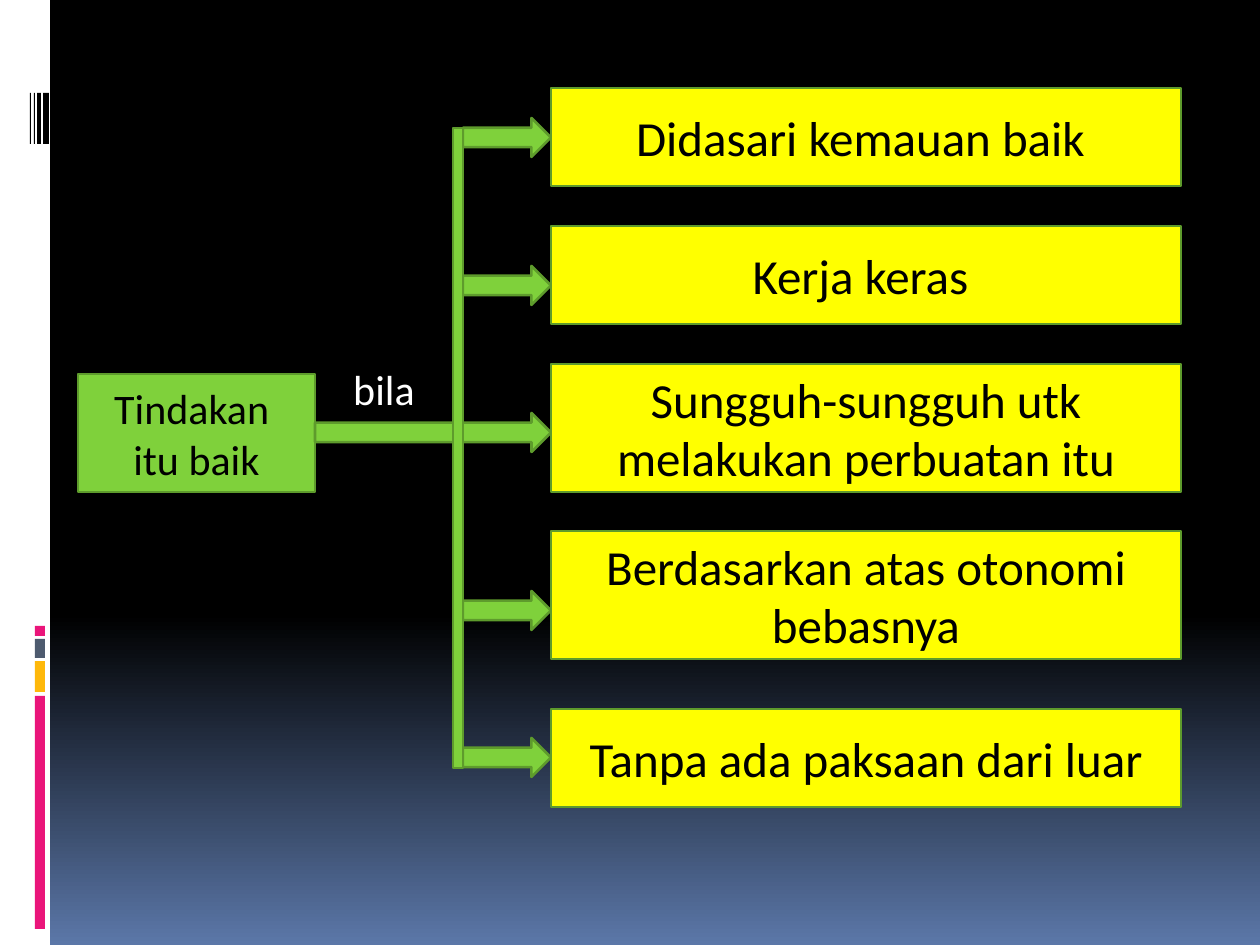
import pptx
import pptx.util
import pptx.dml.color
import pptx.enum.shapes
import pptx.enum.text

EMU_PER_PX = 914400 // 126
THEME = {
    "font": "Calibri", "label_size": 24, "reason_size": 28, "line_width": 1.5,
    "black": "000000", "white": "FFFFFF", "night_blue": "5B77A8",
    "green": "7FD13B", "dark_green": "5E9B2C", "yellow": "FFFF00",
    "pink": "EA157A", "amber": "FEB80A", "slate": "4E5B6F",
}
SHAPES = pptx.enum.shapes.MSO_SHAPE


def color(name):
    return pptx.dml.color.RGBColor.from_string(THEME[name])


def add_block(box, fill=None, outline=None, kind=SHAPES.RECTANGLE,
              lines=(), size="label_size", text_color="black"):
    """Add a shape, or a text box when there is no fill; box is in px."""
    place = [pptx.util.Emu(value * EMU_PER_PX) for value in box]
    if fill:
        shape = slide.shapes.add_shape(kind, *place)
        shape.shadow.inherit = False
        shape.fill.solid()
        shape.fill.fore_color.rgb = color(fill)
        if outline:
            shape.line.color.rgb = color(outline)
            shape.line.width = pptx.util.Pt(THEME["line_width"])
        else:
            shape.line.fill.background()
    else:
        shape = slide.shapes.add_textbox(*place)
    frame = shape.text_frame
    frame.word_wrap = True
    frame.vertical_anchor = pptx.enum.text.MSO_ANCHOR.MIDDLE
    font_format = {"name": THEME["font"], "size": pptx.util.Pt(THEME[size])}
    for index, line in enumerate(lines):
        paragraph = frame.add_paragraph() if index else frame.paragraphs[0]
        paragraph.alignment = pptx.enum.text.PP_ALIGN.CENTER
        run = paragraph.add_run()
        run.text = line
        for name, value in font_format.items():
            setattr(run.font, name, value)
        run.font.color.rgb = color(text_color)


presentation = pptx.Presentation()
presentation.slide_width = pptx.util.Emu(1260 * EMU_PER_PX)
presentation.slide_height = pptx.util.Emu(945 * EMU_PER_PX)
slide = presentation.slides.add_slide(presentation.slide_layouts[6])

# Background: black, fading to blue at the bottom
background = slide.background.fill
background.gradient()
background.gradient_angle = 270
stops = ((0.65, "black"), (1, "night_blue"))
for stop, (position, name) in zip(background.gradient_stops, stops):
    stop.position = position
    stop.color.rgb = color(name)

# Left margin strip with coloured bars and barcode
add_block((0, 0, 50, 945), "white")
for top, height, name in ((696, 233, "pink"), (661, 31, "amber"),
                          (639, 19, "slate"), (626, 10, "pink")):
    add_block((35, top, 10, height), name)
for left, width in ((43, 6), (37, 4), (34, 1), (30, 1)):
    add_block((left, 93, width, 51), "black")

# Starting statement
add_block((78, 374, 237, 118), "green", "dark_green",
          lines=("Tindakan ", "itu baik"))

# Conditions: top, height, wording
conditions = (
    (88, 98, "Didasari kemauan baik "),
    (226, 98, "Kerja keras "),
    (364, 128, "Sungguh-sungguh utk melakukan perbuatan itu"),
    (531, 128, "Berdasarkan atas otonomi bebasnya"),
    (709, 98, "Tanpa ada paksaan dari luar"),
)
for top, height, wording in conditions:
    add_block((551, top, 630, height), "yellow", "dark_green",
              lines=(wording,), size="reason_size")

add_block((325, 364, 118, 49), lines=("bila",), text_color="white")

# Arrows to the conditions; the middle one starts at the statement
for left, top in ((463, 118), (463, 266), (315, 413), (463, 591), (463, 738)):
    add_block((left, top, 551 - left, 39), "green", "dark_green",
              SHAPES.RIGHT_ARROW)

# Vertical trunk
add_block((453, 128, 10, 640), "green", "dark_green")

presentation.save("out.pptx")
